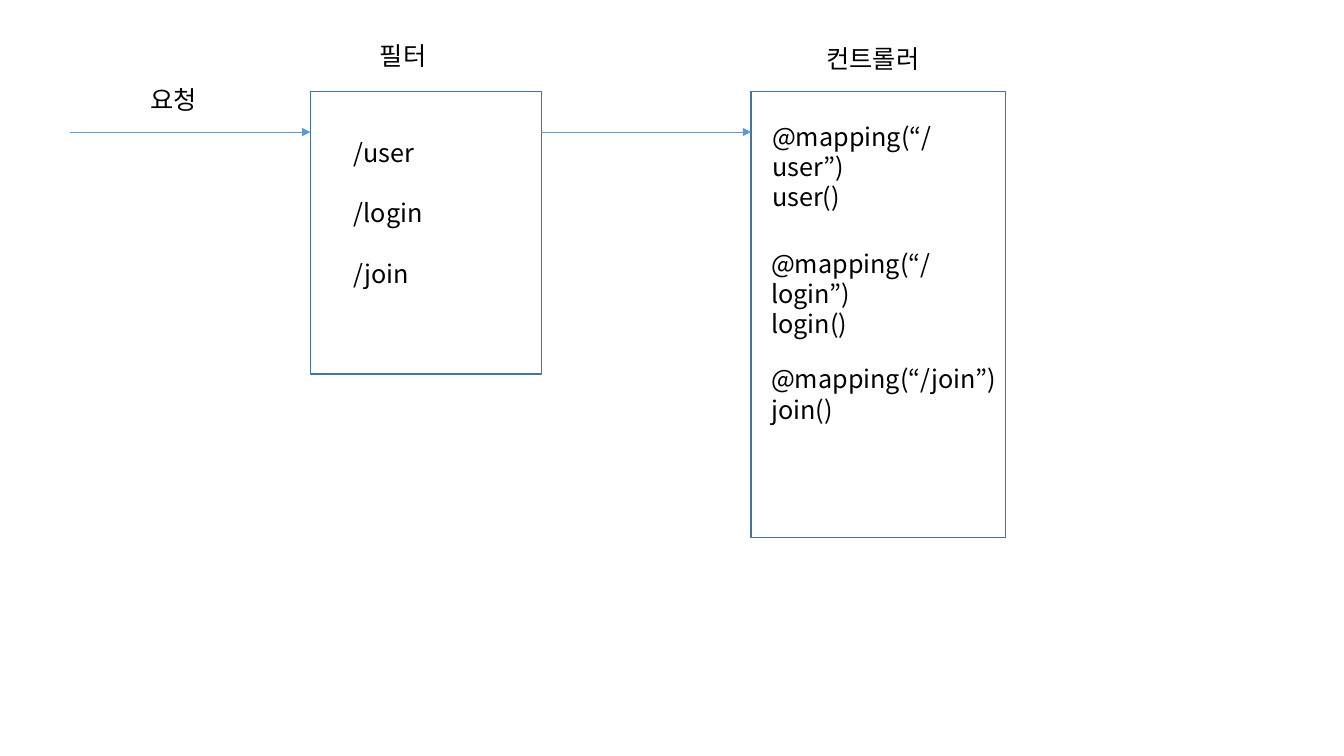
"""Build a slide showing a request passing through a filter to a controller."""
from dataclasses import dataclass

from lxml import etree
from pptx import Presentation
from pptx import util as u
from pptx.dml.color import RGBColor
from pptx.enum import shapes, text
from pptx.oxml.ns import qn


@dataclass(frozen=True)
class Theme:
    font: str = "Noto Sans CJK KR"
    size: u.Pt = u.Pt(18)
    leading: u.Pt = u.Pt(21.6)
    ink: RGBColor = RGBColor(0x00, 0x00, 0x00)
    border: RGBColor = RGBColor(0x43, 0x73, 0x9E)
    arrow: RGBColor = RGBColor(0x5B, 0x9B, 0xD5)
    border_width: u.Pt = u.Pt(1)
    arrow_width: u.Pt = u.Pt(0.5)


THEME = Theme()

REQUEST_START, FLOW_Y = 0.69, 1.31
FILTER_BOX = (3.08, 0.91, 2.29, 2.8)
CONTROLLER_BOX = (7.45, 0.91, 2.52, 4.42)

LABELS = [
    ("요청", (1.39, 0.79, 1, 0.4), True),
    ("필터", (3.67, 0.35, 0.85, 0.4), True),
    ("컨트롤러", (8.1, 0.38, 1.21, 0.4), False),
]

FILTER_PATHS = ["/user", "/login", "/join"]
PATHS_AREA = (3.41, 1.31, 1.11, 1.62)

HANDLERS = [("user", 7.56, 1.15), ("login", 7.55, 2.41), ("join", 7.55, 3.56)]
HANDLER_SIZE = (2.47, 0.71)


def inches(values):
    return [u.Inches(value) for value in values]


def apply(target, formats):
    for name, value in formats.items():
        setattr(target, name, value)


def add_text(slide, lines, area, wrap=True, gap=0):
    frame = slide.shapes.add_textbox(*inches(area)).text_frame
    apply(frame, {"word_wrap": wrap, "auto_size": text.MSO_AUTO_SIZE.SHAPE_TO_FIT_TEXT})
    for index, line in enumerate(lines):
        paragraph = frame.add_paragraph() if index else frame.paragraphs[0]
        apply(paragraph, {"line_spacing": THEME.leading, "space_before": gap if index else 0})
        run = paragraph.add_run()
        run.text = line
        apply(run.font, {"name": THEME.font, "size": THEME.size})
        run.font.color.rgb = THEME.ink
        etree.SubElement(run._r.get_or_add_rPr(), qn("a:ea"), typeface=THEME.font)


def add_box(slide, area):
    shape = slide.shapes.add_shape(shapes.MSO_SHAPE.RECTANGLE, *inches(area))
    shape.shadow.inherit = False
    shape.fill.background()
    shape.line.color.rgb = THEME.border
    shape.line.width = THEME.border_width


def add_arrow(slide, start, end):
    connector = slide.shapes.add_connector(
        shapes.MSO_CONNECTOR.STRAIGHT, *inches((start, FLOW_Y, end, FLOW_Y))
    )
    connector.line.color.rgb = THEME.arrow
    connector.line.width = THEME.arrow_width
    etree.SubElement(connector.line._get_or_add_ln(), qn("a:tailEnd"), type="triangle")
    etree.SubElement(connector._element.spPr, qn("a:effectLst"))


presentation = Presentation()
apply(presentation, {"slide_width": u.Inches(13.33), "slide_height": u.Inches(7.5)})
slide = presentation.slides.add_slide(presentation.slide_layouts[6])

for area in (FILTER_BOX, CONTROLLER_BOX):
    add_box(slide, area)

filter_right = FILTER_BOX[0] + FILTER_BOX[2]
for start, end in [(REQUEST_START, FILTER_BOX[0]), (filter_right, CONTROLLER_BOX[0])]:
    add_arrow(slide, start, end)

for label, area, wrap in LABELS:
    add_text(slide, [label], area, wrap)

add_text(slide, FILTER_PATHS, PATHS_AREA, gap=THEME.leading)

for name, left, top in HANDLERS:
    add_text(slide, [f"@mapping(“/{name}”)", f"{name}()"], (left, top, *HANDLER_SIZE))

presentation.save("out.pptx")
